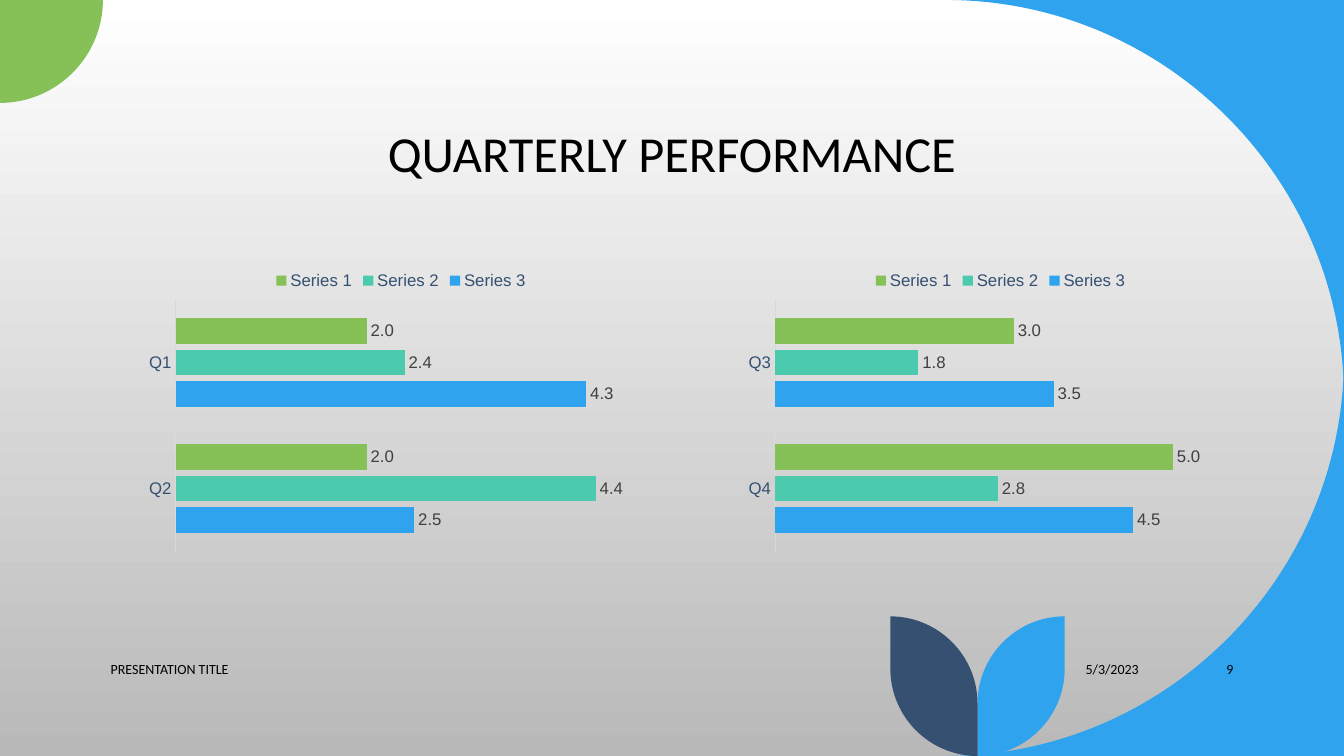
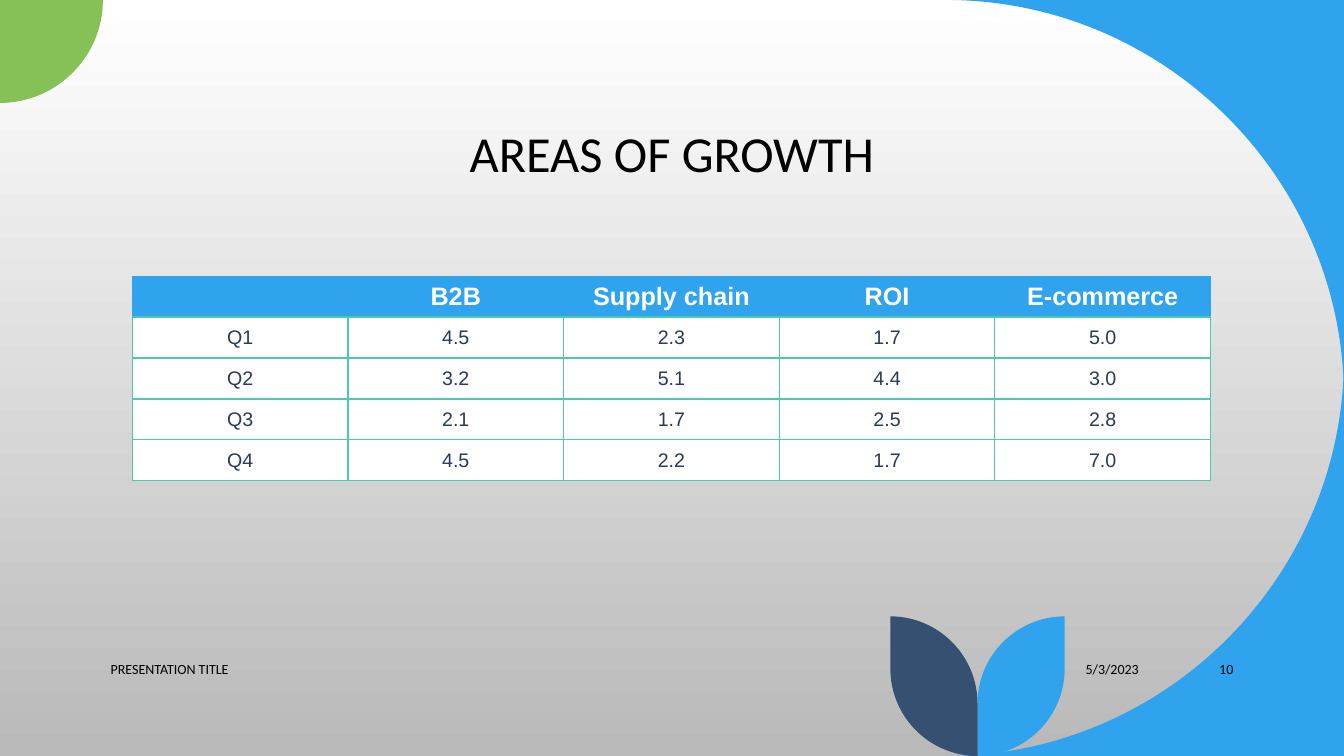
from dataclasses import dataclass

from lxml import etree
from pptx import Presentation
from pptx import util as u
from pptx.chart.data import CategoryChartData
from pptx.dml.color import RGBColor
from pptx.enum import chart as ch, text
from pptx.oxml.ns import qn

PX = 9525  # EMU per px, 96 px to the inch
ROUND = 0.55  # control point distance for a quarter circle


@dataclass(frozen=True)
class Theme:
    blue: str = "2FA3EE"
    green: str = "86C157"
    teal: str = "4BCAAD"
    navy: str = "355071"
    ink: str = "283C55"
    label: str = "404040"
    axis: str = "D9D9D9"
    black: str = "000000"
    white: str = "FFFFFF"
    back_end: str = "B9B9B9"
    head_font: str = "Calibri"
    body_font: str = "Arial"
    title_size: int = 36
    footer_size: int = 10
    chart_size: int = 12
    header_size: int = 18
    cell_size: int = 14


def rgb(colour):
    return RGBColor.from_string(colour)


def px(*lengths):
    return [u.Emu(round(length * PX)) for length in lengths]


def set_font(font, name, size, colour, bold=False):
    font.name, font.size, font.bold = name, u.Pt(size), bold
    font.color.rgb = rgb(colour)


def quarter(start, corner, end):
    """Control points and end of a quarter circle that bends towards corner."""
    def toward(point):
        return tuple(p + ROUND * (k - p) for p, k in zip(point, corner))
    return [toward(start), toward(end), end]


class Deck:
    WIDTH, HEIGHT = 1280, 720

    def __init__(self, theme):
        self.theme = theme
        self.prs = Presentation()
        self.prs.slide_width, self.prs.slide_height = px(self.WIDTH, self.HEIGHT)
        self.slide = None

    def new_slide(self, title, number):
        t = self.theme
        self.slide = self.prs.slides.add_slide(self.prs.slide_layouts[6])
        self.backdrop()
        self.decoration()
        self.text(title, (96, 65, 1088, 168), t.title_size,
                  text.PP_ALIGN.CENTER, spacing=0.9)
        # Footer
        for words, left, width, align in (
            ("PRESENTATION TITLE", 96, 701, text.PP_ALIGN.LEFT),
            ("5/3/2023", 806, 288, text.PP_ALIGN.RIGHT),
            (str(number), 1104, 80, text.PP_ALIGN.RIGHT),
        ):
            self.text(words, (left, 618, width, 38), t.footer_size, align)

    def backdrop(self):
        fill = self.slide.background.fill
        fill.gradient()
        fill.gradient_angle = 270
        for stop, colour in zip(fill.gradient_stops, (self.theme.white, self.theme.back_end)):
            stop.color.rgb = rgb(colour)

    def decoration(self):
        t, right, bottom = self.theme, self.WIDTH, self.HEIGHT
        # Blue corners around the large curve, green quarter disc
        radius, disc = 379, 98
        for edge, inner in ((0, radius), (bottom, bottom - radius)):
            corner, along, beside = (right, edge), (right - radius, edge), (right, inner)
            self.outline(corner, [[along], quarter(along, corner, beside)], t.blue)
        self.outline((0, 0), [[(disc, 0)], quarter((disc, 0), (disc, disc), (0, disc))],
                     t.green)
        # Two mirrored leaves
        stem, top, leaf = 931, 587, 83
        for tip, colour in ((stem + leaf, t.blue), (stem - leaf, t.navy)):
            peak, foot = (tip, top), (stem, bottom)
            shoulder, hip = (stem, top + leaf), (tip, bottom - leaf)
            self.outline(peak, [[hip], quarter(hip, (tip, bottom), foot), [shoulder],
                                quarter(shoulder, (stem, top), peak)], colour)

    def outline(self, start, steps, colour):
        """Draw steps of one point (a line) or three points (a curve)."""
        builder = self.slide.shapes.build_freeform(*px(*start))
        builder.add_line_segments([px(*point) for step in steps for point in step])
        shape = builder.convert_to_shape()
        contour = next(shape._element.iter(qn("a:path")))
        lines = iter(contour.findall(qn("a:lnTo")))
        for step in steps:
            parts = [next(lines) for _ in step]
            if len(parts) == 3:
                curve = etree.SubElement(contour, qn("a:cubicBezTo"))
                parts[0].addprevious(curve)
                for part in parts:
                    curve.append(part[0])
                    contour.remove(part)
        etree.SubElement(contour, qn("a:close"))
        shape.shadow.inherit = False
        shape.fill.solid()
        shape.fill.fore_color.rgb = rgb(colour)
        shape.line.fill.background()

    def text(self, words, box, size, align, spacing=None):
        frame = self.slide.shapes.add_textbox(*px(*box)).text_frame
        frame.word_wrap = True
        frame.vertical_anchor = text.MSO_ANCHOR.MIDDLE
        paragraph = frame.paragraphs[0]
        paragraph.text = words
        paragraph.alignment = align
        paragraph.line_spacing = spacing
        set_font(paragraph.font, self.theme.head_font, size, self.theme.black)

    def bar_chart(self, box, quarters, series, top_value):
        t = self.theme
        data = CategoryChartData(number_format="0.0")
        data.categories = quarters
        for name, values, _ in series:
            data.add_series(name, values)
        chart = self.slide.shapes.add_chart(
            ch.XL_CHART_TYPE.BAR_CLUSTERED, *px(*box), data).chart
        chart.has_title = False
        set_font(chart.font, t.body_font, t.chart_size, t.navy)
        # Legend and axes
        chart.has_legend = True
        chart.legend.position = ch.XL_LEGEND_POSITION.TOP
        chart.legend.include_in_layout = False
        values_axis, quarter_axis = chart.value_axis, chart.category_axis
        values_axis.visible = False
        values_axis.has_major_gridlines = False
        values_axis.minimum_scale, values_axis.maximum_scale = 0, top_value
        quarter_axis.major_tick_mark = ch.XL_TICK_MARK.NONE
        quarter_axis.format.line.color.rgb = rgb(t.axis)
        quarter_axis.format.line.width = u.Pt(0.75)
        # Bars and their labels
        plot = chart.plots[0]
        plot.vary_by_categories = False
        plot.gap_width, plot.overlap = 150, -25
        for bars, (_, _, colour) in zip(plot.series, series):
            bars.format.fill.solid()
            bars.format.fill.fore_color.rgb = rgb(colour)
        plot.has_data_labels = True
        labels = plot.data_labels
        labels.show_value = True
        labels.number_format, labels.number_format_is_linked = "0.0", False
        labels.position = ch.XL_LABEL_POSITION.OUTSIDE_END
        set_font(labels.font, t.body_font, t.chart_size, t.label)

    def table(self, box, rows):
        t = self.theme
        grid = self.slide.shapes.add_table(len(rows), len(rows[0]), *px(*box)).table
        grid.horz_banding = False
        for r, row in enumerate(rows):
            header = r == 0
            for c, words in enumerate(row):
                cell = grid.cell(r, c)
                cell.vertical_anchor = text.MSO_ANCHOR.MIDDLE
                cell.fill.solid()
                cell.fill.fore_color.rgb = rgb(t.blue if header else t.white)
                paragraph = cell.text_frame.paragraphs[0]
                paragraph.text = words
                paragraph.alignment = text.PP_ALIGN.CENTER
                set_font(paragraph.font, t.body_font,
                         t.header_size if header else t.cell_size,
                         t.white if header else t.ink, header)
                self.borders(cell, "B" if header else "LRTB")

    def borders(self, cell, drawn):
        """Line the drawn sides of a cell and clear the others."""
        properties = cell._tc.get_or_add_tcPr()
        for place, side in enumerate("LRTB"):
            line = etree.Element(qn("a:ln" + side), w=str(u.Pt(1)))
            if side in drawn:
                fill = etree.SubElement(line, qn("a:solidFill"))
                etree.SubElement(fill, qn("a:srgbClr"), val=self.theme.teal)
            else:
                etree.SubElement(line, qn("a:noFill"))
            properties.insert(place, line)


def main():
    theme = Theme()
    deck = Deck(theme)

    # Quarterly performance: one chart for each half year
    deck.new_slide("QUARTERLY PERFORMANCE", 9)
    names = ("Series 3", "Series 2", "Series 1")
    colours = (theme.blue, theme.teal, theme.green)
    for left, quarters, values, top_value in (
        (132, ("Q2", "Q1"), ((2.5, 4.3), (4.4, 2.4), (2, 2)), 5),
        (703, ("Q4", "Q3"), ((4.5, 3.5), (2.8, 1.8), (5, 3)), 6),
    ):
        deck.bar_chart((left, 248, 500, 283), quarters,
                       list(zip(names, values, colours)), top_value)

    # Areas of growth
    deck.new_slide("AREAS OF GROWTH", 10)
    deck.table((126, 263, 1027, 195), (
        ("", "B2B", "Supply chain", "ROI", "E-commerce"),
        ("Q1", "4.5", "2.3", "1.7", "5.0"),
        ("Q2", "3.2", "5.1", "4.4", "3.0"),
        ("Q3", "2.1", "1.7", "2.5", "2.8"),
        ("Q4", "4.5", "2.2", "1.7", "7.0"),
    ))

    deck.prs.save("out.pptx")


if __name__ == "__main__":
    main()
